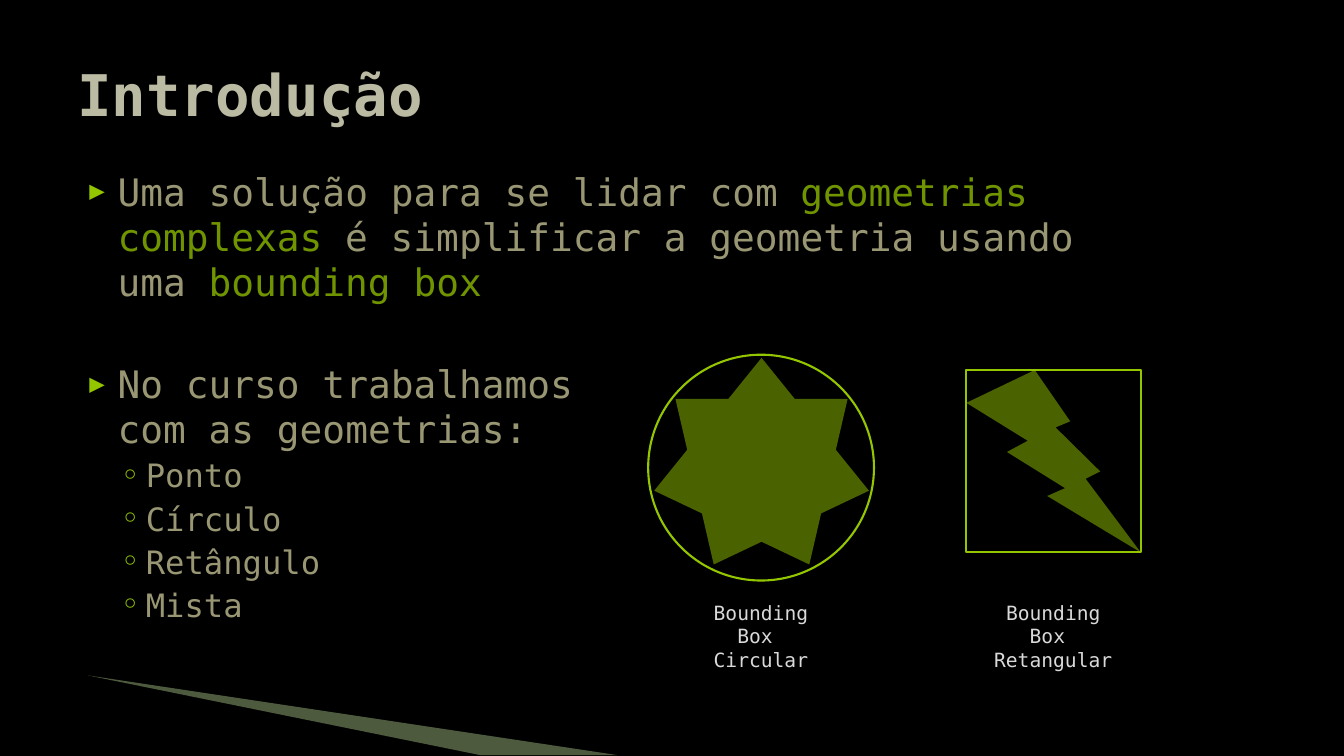
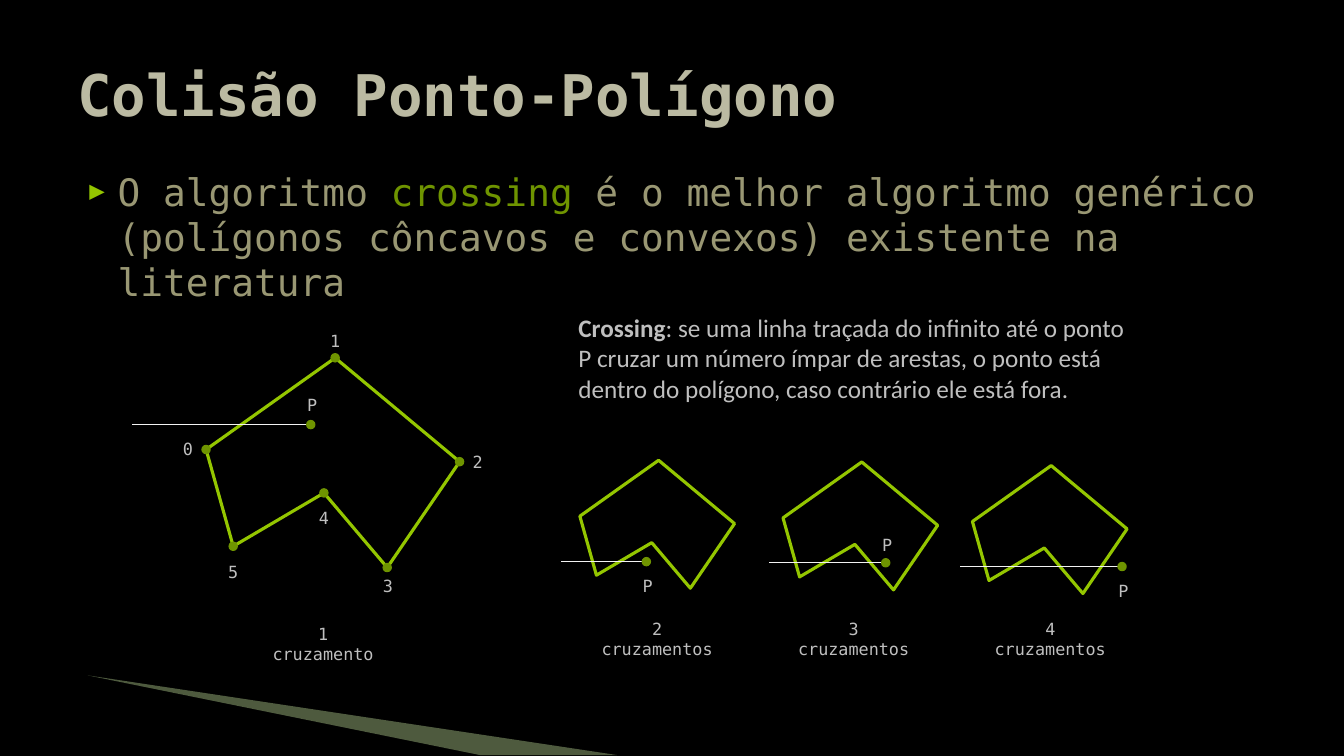
import pptx
import pptx.util
import pptx.dml.color
import pptx.enum.shapes
import pptx.enum.text
import pptx.oxml
import pptx.oxml.ns
from lxml import etree

Pt = pptx.util.Pt
RGBColor = pptx.dml.color.RGBColor
MSO_SHAPE = pptx.enum.shapes.MSO_SHAPE
ALIGN = pptx.enum.text.PP_ALIGN
qn = pptx.oxml.ns.qn

BLACK = RGBColor(0x00, 0x00, 0x00)
BAND = RGBColor(0xC3, 0xE1, 0x9D)
TITLE = RGBColor(0xBB, 0xBA, 0xA2)
BODY = RGBColor(0x99, 0x97, 0x73)
ACCENT = RGBColor(0x6F, 0x94, 0x00)
LIME = RGBColor(0x94, 0xC6, 0x00)
DARK_GREEN = RGBColor(0x4A, 0x63, 0x00)
CAPTION = RGBColor(0xD9, 0xD9, 0xD9)
GREY = RGBColor(0xBF, 0xBF, 0xBF)
RAY = RGBColor(0xF2, 0xF2, 0xF2)

MONO = "DejaVu Sans Mono"
SANS = "Calibri"

# Marker, marker size in %, text size, left margin, hanging indent, space before
LEVELS = [
    ("▶", 68, 27, 28.8, -20.16, 4),
    ("◦", 100, 23, 48.96, -18, 3.2),
]

# Vertices 0 to 5 of the large polygon, from its top left corner
VERTICES = [(0, 65.5), (92.2, 0), (181.1, 74.2),
            (129.4, 149.8), (84.2, 96.5), (19.4, 134.6)]
NUMBER_OFFSETS = [(-13, -0.5), (0, -12), (13, 0.5), (0.5, 13), (0, 17.5), (0, 18)]
SMALL = 0.61


def style_run(r, size, color, font=MONO, bold=False):
    r.font.size = Pt(size)
    r.font.name = font
    r.font.color.rgb = color
    r.font.bold = bold


def add_marked_text(p, text, size, color, accent, font=MONO, bold=False):
    """Add runs to p; text between asterisks takes the accent colour and bold."""
    for i, part in enumerate(text.split("*")):
        marked = i % 2 == 1
        for j, line in enumerate(part.split("\n")):
            if j:
                p.add_line_break()
            if line:
                r = p.add_run()
                r.text = line
                style_run(r, size, accent if marked else color, font, bold and marked)


def set_bullet(p, char, percent, margin, indent):
    pPr = p._p.get_or_add_pPr()
    pPr.set("marL", str(int(Pt(margin))))
    pPr.set("indent", str(int(Pt(indent))))
    clr = etree.SubElement(pPr, qn("a:buClr"))
    etree.SubElement(clr, qn("a:srgbClr"), val=str(LIME))
    etree.SubElement(pPr, qn("a:buSzPct"), val=str(percent * 1000))
    etree.SubElement(pPr, qn("a:buFont"), typeface=MONO)
    etree.SubElement(pPr, qn("a:buChar"), char=char)


def style_shape(sp, fill=None, line=None, line_width=0.75):
    sp.shadow.inherit = False
    if fill is None:
        sp.fill.background()
    else:
        sp.fill.solid()
        sp.fill.fore_color.rgb = fill
    if line is None:
        sp.line.fill.background()
    else:
        sp.line.color.rgb = line
        sp.line.width = Pt(line_width)


def add_shape(s, kind, left, top, width, height, **style):
    sp = s.shapes.add_shape(kind, Pt(left), Pt(top), Pt(width), Pt(height))
    style_shape(sp, **style)


def add_outline(s, points, **style):
    points = [(Pt(x), Pt(y)) for x, y in points]
    builder = s.shapes.build_freeform(*points[0])
    builder.add_line_segments(points[1:], close=True)
    sp = builder.convert_to_shape()
    style_shape(sp, **style)
    return sp


def add_text_box(s, left, top, width, height):
    tf = s.shapes.add_textbox(Pt(left), Pt(top), Pt(width), Pt(height)).text_frame
    tf.word_wrap = True
    return tf


def add_caption(s, text, center, top, width, size=12, color=GREY):
    tf = add_text_box(s, center - width / 2, top, width, 21.6)
    p = tf.paragraphs[0]
    p.text = text
    p.alignment = ALIGN.CENTER
    for r in p.runs:
        style_run(r, size, color)


def add_label(s, text, x, y):
    """Add a one-character label centred on x, y."""
    add_caption(s, text, x, y - 10.8, 22.4)


def add_dot(s, x, y):
    add_shape(s, MSO_SHAPE.OVAL, x - 3, y - 3, 6, 6, fill=ACCENT, line=ACCENT)


def add_polygon(s, left, top, scale=1):
    points = [(left + x * scale, top + y * scale) for x, y in VERTICES]
    add_outline(s, points, line=LIME, line_width=2.25)
    return points


def add_ray(s, start, x, y, label_dy):
    """Add point P at x, y, its label, and the line that reaches it."""
    line = s.shapes.add_connector(pptx.enum.shapes.MSO_CONNECTOR.STRAIGHT,
                                  Pt(x - 3), Pt(y), Pt(start), Pt(y))
    line.line.color.rgb = RAY
    line.line.width = Pt(0.75)
    etree.SubElement(line._element.spPr, qn("a:effectLst"))
    add_dot(s, x, y)
    add_label(s, "P", x + 1, y + label_dy)


def set_up_template(prs):
    """Set the shared background and placeholder places; return the layout."""
    fill = prs.slide_master.background.fill
    fill.solid()
    fill.fore_color.rgb = BLACK
    layout = prs.slide_layouts[1]
    places = {0: (48, 21.6, 864, 90), 1: (48, 116.6, 864, 356.4)}
    for ph in layout.placeholders:
        if ph.placeholder_format.idx in places:
            ph.left, ph.top, ph.width, ph.height = map(
                Pt, places[ph.placeholder_format.idx])
    return layout


def add_band(s, layout):
    """Draw the translucent corner band and move it to the layout."""
    sp = add_outline(s, [(62.6, 482.4), (440.6, 539.3), (342.7, 539.3)], fill=BAND)
    color = sp._element.spPr.find(qn("a:solidFill")).find(qn("a:srgbClr"))
    etree.SubElement(color, qn("a:alpha"), val="40000")
    layout.shapes.element.append(sp._element)


def add_slide(prs, layout, title, items):
    """Add a slide; items are (level, text, extra space before)."""
    s = prs.slides.add_slide(layout)
    tf = s.shapes.title.text_frame
    tf.text = title
    tf.vertical_anchor = pptx.enum.text.MSO_ANCHOR.MIDDLE
    tf.auto_size = pptx.enum.text.MSO_AUTO_SIZE.NONE
    p = tf.paragraphs[0]
    p.alignment = ALIGN.LEFT
    style_run(p.runs[0], 41, TITLE, bold=True)

    tf = s.placeholders[1].text_frame
    tf.auto_size = pptx.enum.text.MSO_AUTO_SIZE.NONE
    for i, (level, text, gap) in enumerate(items):
        char, percent, size, margin, indent, before = LEVELS[level]
        p = tf.add_paragraph() if i else tf.paragraphs[0]
        p.level = level
        p.space_before = Pt(before + gap)
        set_bullet(p, char, percent, margin, indent)
        add_marked_text(p, text, size, BODY, ACCENT)
    return s


def add_introduction(prs, layout):
    items = [
        (0, "Uma solução para se lidar com *geometrias \ncomplexas* é simplificar "
            "a geometria usando \numa *bounding box*", 0),
        (0, "No curso trabalhamos \ncom as geometrias:", 36),
    ]
    items += [(1, name, 0) for name in ("Ponto", "Círculo", "Retângulo", "Mista")]
    s = add_slide(prs, layout, "Introdução", items)
    add_band(s, layout)

    add_shape(s, MSO_SHAPE.STAR_7_POINT, 467.3, 255.6, 153.4, 147.6, fill=DARK_GREEN)
    add_shape(s, MSO_SHAPE.OVAL, 463, 253.4, 161.3, 161.3, line=LIME, line_width=1.5)
    bolt_box = (690.3, 264.3, 124.6, 130.3)
    add_shape(s, MSO_SHAPE.LIGHTNING_BOLT, *bolt_box, fill=DARK_GREEN)
    add_shape(s, MSO_SHAPE.RECTANGLE, *bolt_box, line=LIME, line_width=1.5)
    for kind, center in (("Circular", 543.6), ("Retangular", 752.4)):
        add_caption(s, f"Bounding Box \v{kind}", center, 425.5, 113, 14, CAPTION)


def add_point_in_polygon(prs, layout):
    s = add_slide(prs, layout, "Colisão Ponto-Polígono", [
        (0, "O algoritmo *crossing* é o melhor algoritmo genérico "
            "(polígonos côncavos e convexos) existente na literatura", 0)])

    points = add_polygon(s, 147.2, 255.6)
    for i, ((x, y), (dx, dy)) in enumerate(zip(points, NUMBER_OFFSETS)):
        add_dot(s, x, y)
        add_label(s, str(i), x + dx, y + dy)
    add_ray(s, 94.3, 222, 303.3, -14.4)
    add_caption(s, "1 cruzamento", 230.8, 442, 96)

    tf = add_text_box(s, 406.1, 219.6, 406.1, 72.7)
    add_marked_text(
        tf.paragraphs[0],
        "*Crossing*: se uma linha traçada do infinito até o ponto P cruzar um número "
        "ímpar de arestas, o ponto está dentro do polígono, caso contrário ele está fora.",
        18, GREY, GREY, SANS, bold=True)

    # Polygon left and top, ray start, P, vertical offset of its label
    cases = [
        (414.2, 328.8, 401, 461.7, 401.2, 17.4),
        (559.3, 330, 549.4, 632.7, 402, -12.8),
        (694.6, 332.6, 685.4, 801.5, 404.7, 17.4),
    ]
    for i, (left, top, *ray) in enumerate(cases):
        add_polygon(s, left, top, SMALL)
        add_ray(s, *ray)
        add_caption(s, f"{i + 2} cruzamentos", 469.4 + 140.4 * i, 438.5, 96)


def main():
    prs = pptx.Presentation()
    prs.slide_width, prs.slide_height = Pt(960), Pt(540)
    layout = set_up_template(prs)
    add_introduction(prs, layout)
    add_point_in_polygon(prs, layout)
    prs.save("out.pptx")


if __name__ == "__main__":
    main()
